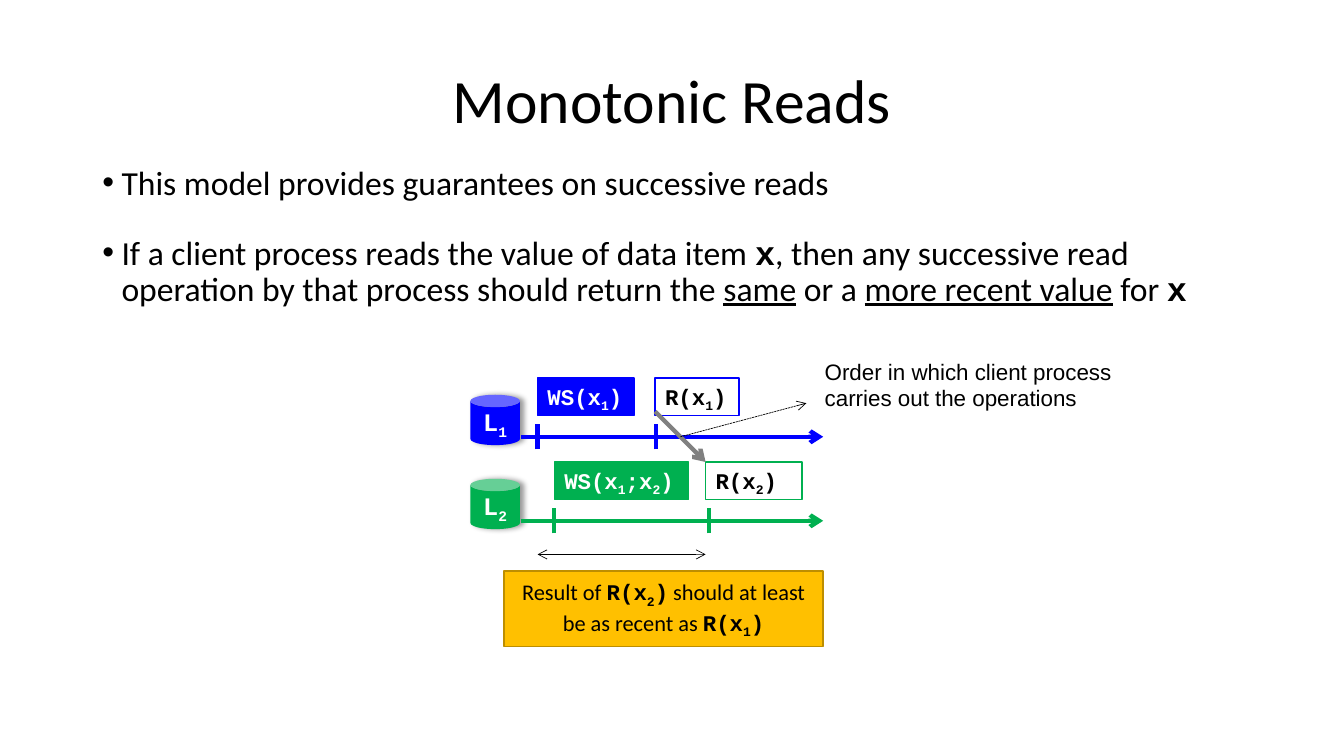
"""Builds the Monotonic Reads slide: two bullets above a two-replica timeline."""
from dataclasses import dataclass

from lxml.etree import SubElement
from pptx import Presentation
from pptx.dml.color import RGBColor
from pptx.enum.dml import MSO_LINE
from pptx.enum.shapes import MSO_CONNECTOR, MSO_SHAPE as SHAPE
from pptx.enum.text import MSO_ANCHOR as ANCHOR, PP_ALIGN as ALIGN
from pptx.oxml.ns import qn
from pptx.util import Inches, Pt


@dataclass(frozen=True)
class Theme:
    black: str = "000000"
    white: str = "FFFFFF"
    blue: str = "0000FF"
    green: str = "00B050"
    amber: str = "FFC000"
    amber_edge: str = "BD8E00"
    gray: str = "808080"
    sans: str = "Calibri"
    note_font: str = "Arial"
    mono: str = "Courier New"
    title: int = 44
    body: int = 24
    replica: int = 18
    label: int = 16
    thin: float = 0.5
    edge: float = 1
    thick: float = 3


THEME = Theme()

TITLE = [("plain", "Monotonic Reads")]
BULLETS = [
    [("plain", "This model provides guarantees on successive reads")],
    [("plain", "If a client process reads the value of data item "), ("code", "x"),
     ("plain", ", then any successive read operation by that process should return the "),
     ("under", "same"), ("plain", " or a "), ("under", "more recent value"),
     ("plain", " for "), ("code", "x")],
]
ORDER_NOTE = [("plain", "Order in which client process carries out the operations")]
RESULT = [("plain", "Result of "), ("code", "R(x_2)"),
          ("plain", " should at least be as recent as "), ("code", "R(x_1)")]

# Columns and rows count twelfths of an inch; an operation is (text, column, width, tick column).
REPLICAS = [
    dict(name="L_1", color=THEME.blue, row=45,
         write=("WS(x_1)", 64, 11.5, 64), read=("R(x_1)", 78, 10, 78.1)),
    dict(name="L_2", color=THEME.green, row=55,
         write=("WS(x_1;x_2)", 66, 16, 66), read=("R(x_2)", 84, 11.5, 84.4)),
]
COLUMNS, ROWS = 160, 90
CAN_COLUMN, CAN_SIZE, CAN_DROP = 56, (5.9, 6), 2
AXIS_START, AXIS_END, AXIS_DROP = 62, 98, 7
LABEL_HEIGHT, TICK_HALF = 4.45, 1.5

deck = Presentation()
deck.slide_width, deck.slide_height = Inches(13.33), Inches(7.5)
slide = deck.slides.add_slide(deck.slide_layouts[6])


def grid(column, row):
    return int(deck.slide_width * column / COLUMNS), int(deck.slide_height * row / ROWS)


def color_of(value):
    return RGBColor.from_string(value)


def write_runs(paragraph, segments, size, color=THEME.black, font=THEME.sans):
    """Adds styled runs; in code an underscore lowers the next character."""
    for style, text in segments:
        first, *rest = text.split("_")
        pieces = [(first, False)]
        for part in rest:
            pieces += [(part[0], True), (part[1:], False)]
        for piece, lowered in pieces:
            if not piece:
                continue
            run = paragraph.add_run()
            run.text = piece
            run.font.size = Pt(size)
            run.font.color.rgb = color_of(color)
            run.font.name = THEME.mono if style == "code" else font
            run.font.bold = style == "code"
            if style == "under":
                run.font.underline = True
            if lowered:
                run._r.get_or_add_rPr().set("baseline", "-25000")


def set_text(shape, segments, size, anchor, align=ALIGN.LEFT, **look):
    frame = shape.text_frame
    frame.word_wrap = True
    frame.vertical_anchor = anchor
    frame.paragraphs[0].alignment = align
    write_runs(frame.paragraphs[0], segments, size, **look)
    return frame


def add_box(kind, at, size, fill, edge=None):
    box = slide.shapes.add_shape(kind, *grid(*at), *grid(*size))
    box.shadow.inherit = False
    box.fill.solid()
    box.fill.fore_color.rgb = color_of(fill)
    if edge:
        box.line.color.rgb = color_of(edge)
        box.line.width = Pt(THEME.edge)
    else:
        box.line.fill.background()
    return box


def add_line(start, end, color, width, ends=(), dash=None):
    line = slide.shapes.add_connector(MSO_CONNECTOR.STRAIGHT, *grid(*start), *grid(*end))
    line.line.color.rgb = color_of(color)
    line.line.width = Pt(width)
    if dash:
        line.line.dash_style = dash
    for end_tag in ends:
        SubElement(line.line._get_or_add_ln(), qn(end_tag), type="arrow")
    SubElement(line._element.spPr, qn("a:effectLst"))


def add_can_shadow(can):
    effects = can._element.spPr.find(qn("a:effectLst"))
    shadow = SubElement(effects, qn("a:outerShdw"), blurRad=str(Pt(4)), dist=str(Pt(3)),
                        dir="0", algn="l", rotWithShape="0")
    tint = SubElement(shadow, qn("a:srgbClr"), val=THEME.black)
    SubElement(tint, qn("a:alpha"), val="40000")


def add_headline():
    title = slide.shapes.add_textbox(*grid(11, 3.6), *grid(138, 17.4))
    frame = set_text(title, TITLE, THEME.title, ANCHOR.MIDDLE, ALIGN.CENTER)
    frame.paragraphs[0].line_spacing = 0.9


def add_bullets():
    body = slide.shapes.add_textbox(*grid(11, 19.2), *grid(138, 66))
    frame = body.text_frame
    frame.word_wrap = True
    for index, segments in enumerate(BULLETS):
        paragraph = frame.add_paragraph() if index else frame.paragraphs[0]
        properties = paragraph._p.get_or_add_pPr()
        properties.set("marL", str(Inches(0.19)))
        properties.set("indent", str(-Inches(0.19)))
        SubElement(properties, qn("a:buFont"), typeface=THEME.note_font)
        SubElement(properties, qn("a:buChar"), char="•")
        paragraph.line_spacing = 0.9
        paragraph.space_before = Pt(24 if index else 0)
        write_runs(paragraph, segments, THEME.body)


def add_replica(name, color, row, write, read):
    can = add_box(SHAPE.CAN, (CAN_COLUMN, row + CAN_DROP), CAN_SIZE, color)
    add_can_shadow(can)
    set_text(can, [("code", name)], THEME.replica, ANCHOR.MIDDLE, ALIGN.CENTER, color=THEME.white)
    axis = row + AXIS_DROP
    add_line((AXIS_START, axis), (AXIS_END, axis), color, THEME.thick, ["a:tailEnd"])
    for operation, fill, ink in ((write, color, THEME.white), (read, THEME.white, THEME.black)):
        text, column, width, tick = operation
        label = add_box(SHAPE.RECTANGLE, (column, row), (width, LABEL_HEIGHT), fill, color)
        set_text(label, [("code", text)], THEME.label, ANCHOR.TOP, color=ink)
        add_line((tick, axis + TICK_HALF), (tick, axis - TICK_HALF), color, THEME.thick)


def add_conclusions():
    add_line((64, 66), (84, 66), THEME.black, THEME.thin, ["a:headEnd", "a:tailEnd"])
    result = add_box(SHAPE.RECTANGLE, (60, 68), (38, 9), THEME.amber, THEME.amber_edge)
    set_text(result, RESULT, THEME.label, ANCHOR.MIDDLE, ALIGN.CENTER)
    add_line((78, 49), (84, 55), THEME.gray, THEME.thick, ["a:tailEnd"])
    note = slide.shapes.add_textbox(*grid(97, 42), *grid(37, 7.7))
    set_text(note, ORDER_NOTE, THEME.label, ANCHOR.TOP, font=THEME.note_font)
    add_line((81, 52), (96, 48), THEME.black, THEME.thin, ["a:tailEnd"], MSO_LINE.SQUARE_DOT)


add_headline()
add_bullets()
for replica in REPLICAS:
    add_replica(**replica)
add_conclusions()
deck.save("out.pptx")
